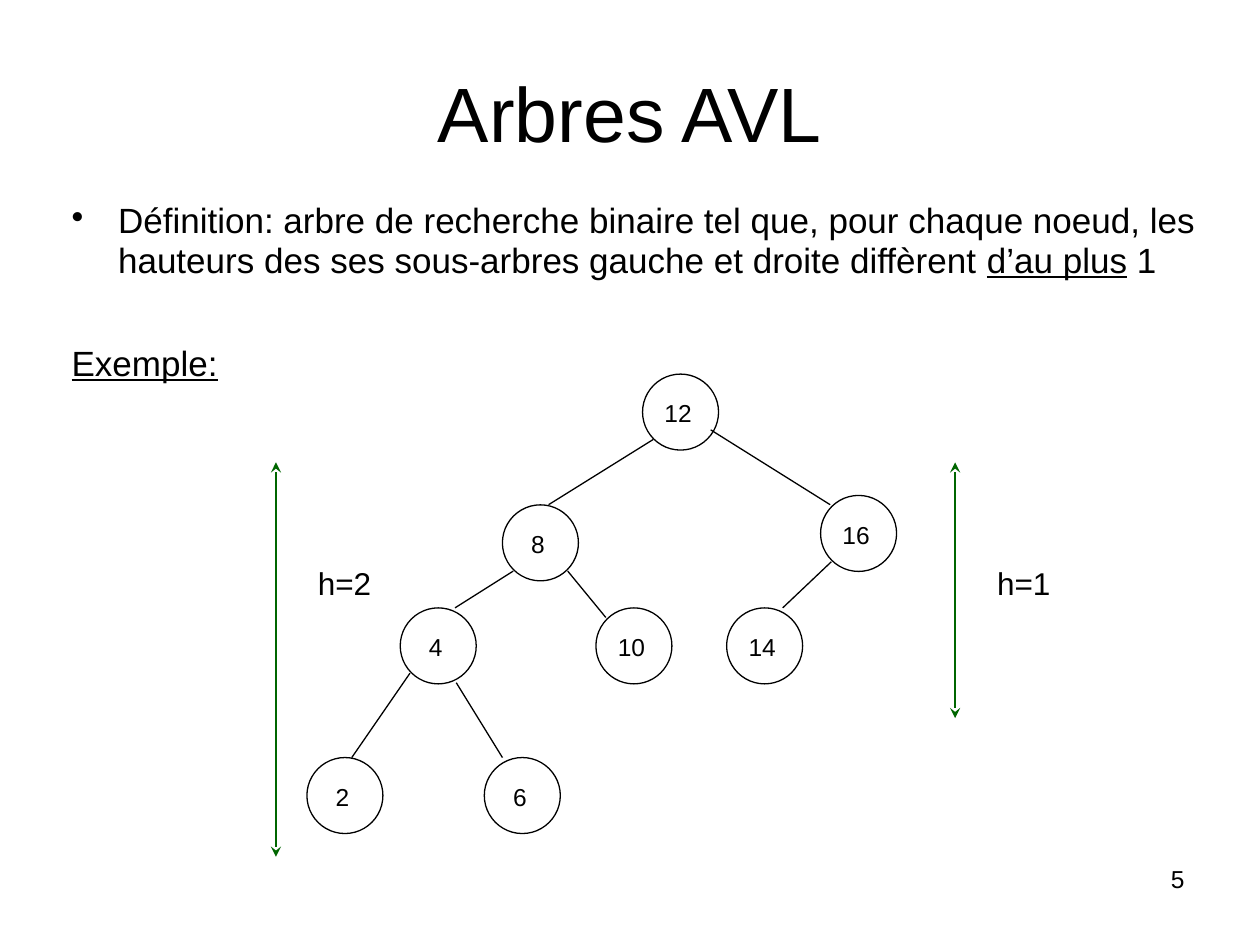
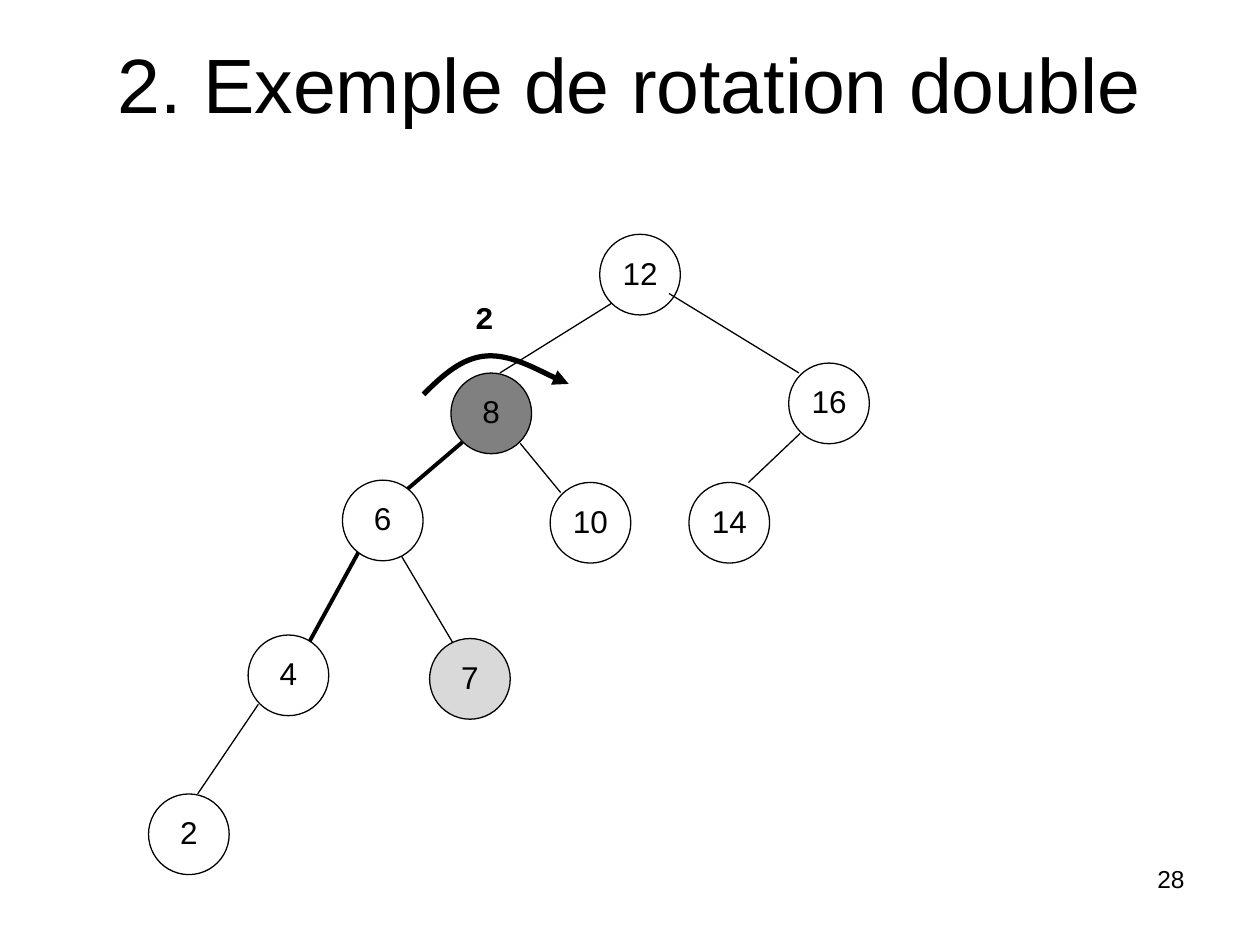
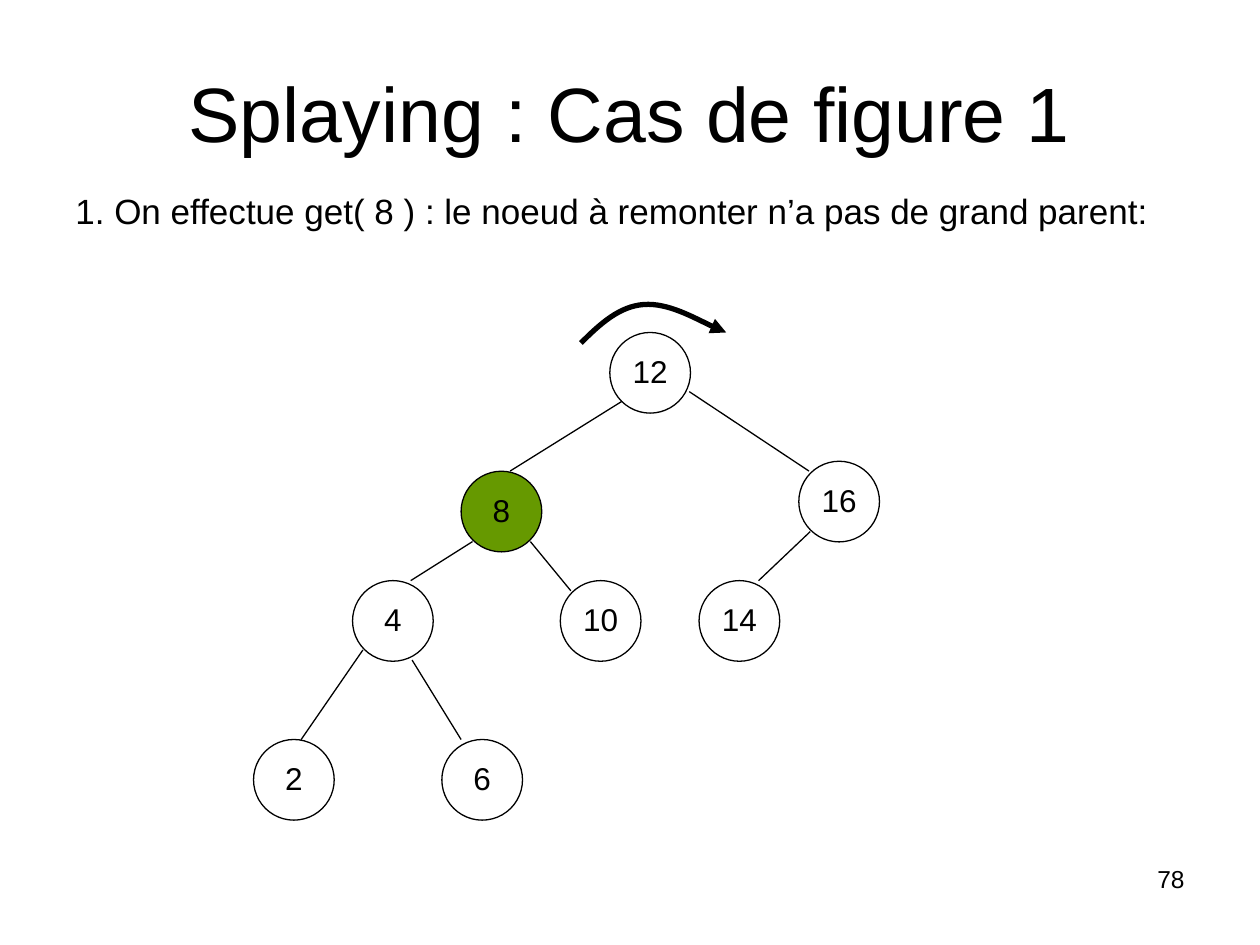
"""Build three slides on balanced binary search trees."""
from dataclasses import dataclass
from lxml.etree import SubElement as Sub
from pptx import Presentation
from pptx.dml.color import RGBColor as Rgb
from pptx.enum.shapes import MSO_CONNECTOR as Link, MSO_SHAPE as Form
from pptx.enum.text import MSO_ANCHOR as Anchor, PP_ALIGN as Align
from pptx.oxml.ns import qn
from pptx.util import Pt


@dataclass(frozen=True)
class Theme:
    ink: str = "000000"
    paper: str = "FFFFFF"
    dark: str = "808080"
    pale: str = "D9D9D9"
    leaf: str = "669900"
    height: str = "006600"
    face: str = "Arial"
    mono: str = "Courier New"
    title: int = 44
    body: int = 20
    label: int = 18
    small: int = 14
    thin: float = 0.75
    bold: float = 2.25
    turn: float = 3


look = Theme()


def write(frame, paras, size, align, pads=(7.2, 3.6, 7.2, 3.6), wrap=True, **extra):
    sides = ("margin_left", "margin_top", "margin_right", "margin_bottom")
    for side, pad in zip(sides, pads):
        setattr(frame, side, Pt(pad))
    frame.word_wrap = wrap
    fmt = {"name": look.face, "size": Pt(size), **extra}
    for i, runs in enumerate(paras):
        para = frame.add_paragraph() if i else frame.paragraphs[0]
        para.alignment, para.line_spacing = align, 0.93
        for words, under in runs:
            run = para.add_run()
            run.text = words
            for key, val in {**fmt, "underline": under}.items():
                setattr(run.font, key, val)
            run.font.color.rgb = Rgb.from_string(look.ink)
    return frame


def draw(slide, ends, width=look.thin, color=look.ink, tips=()):
    line = slide.shapes.add_connector(Link.STRAIGHT, *map(Pt, ends))
    line.line.width = Pt(width)
    line.line.color.rgb = Rgb.from_string(color)
    for tip in tips:
        Sub(line.line._get_or_add_ln(), qn(tip), type="stealth")
    Sub(line._element.spPr, qn("a:effectLst"))


core = {"12": (0, 0), "8": (-85, 79.3), "16": (108, 73.6),
        "10": (-28.3, 141.8), "14": (51, 141.8)}
limbs = [(6.5, 39.6, -57, 79.2), (114.5, 113.8, 85, 141.8),
         (-45.4, 119.5, -22.3, 147.6)]
even = {"4": (-147, 141.8), "2": (-203.6, 232.6), "6": (-96, 232.6)}
twigs = [(-78.5, 119.5, -113.8, 141.8), (-113, 187.2, -85, 232.6),
         (-141.1, 181.4, -176.4, 232.6)]
deep = {"6": (-147, 140.5), "4": (-200.9, 229), "2": (-257.8, 319.8),
        "7": (-97.2, 231)}
path_down = [(-78.5, 118.8, -118.1, 152.6), (-134.6, 175.7, -168.5, 237.6)]
rest = [(-118.1, 175.7, -78.5, 242.6), (-195.1, 268.6, -229.7, 319.7)]
bend = [(11, -11), (22, -21), (36, -22), (50, -23), (75, -9), (83, -6)]
disc = 46.1

pages = [
    {"title": "Arbres AVL", "box": (36, 21.6, 648, 90), "num": "5",
     "root": (367.2, 213.8), "scale": 0.942, "size": look.small, "nudge": 2.8,
     "right": 41.3, "nodes": even, "thin": twigs},
    {"title": "2. Exemple de rotation double", "box": (0, 21.6, 720, 57),
     "num": "28", "root": (342.7, 133.9), "right": 39.6, "nodes": deep,
     "thin": rest, "bold": path_down, "turn": (242, 225.4),
     "fills": {"8": look.dark, "7": look.pale, "6": look.paper, "4": look.paper}},
    {"title": "Splaying : Cas de figure 1", "box": (36, 38.2, 648, 57),
     "num": "78", "root": (348.5, 190), "right": 45.4, "nodes": even,
     "thin": twigs, "turn": (332, 196), "fills": {"8": look.leaf}},
]

deck = Presentation()
deck.slide_width, deck.slide_height = Pt(720), Pt(540)
slides = []

for page in pages:
    slide = deck.slides.add_slide(deck.slide_layouts[6])
    slides.append(slide)
    shapes = slide.shapes
    head = shapes.add_textbox(*map(Pt, page["box"])).text_frame
    write(head, [[(page["title"], False)]], look.title, Align.CENTER)
    head.vertical_anchor = Anchor.MIDDLE
    foot = shapes.add_textbox(Pt(516.2), Pt(491.8), Pt(167.8), Pt(37.4)).text_frame
    write(foot, [[(page["num"], False)]], look.small, Align.RIGHT)

    left, top = page["root"]
    scale = page.get("scale", 1)
    right = (page["right"], 33.8, 113.8, 79.2)
    edges = [(ends, look.bold) for ends in page.get("bold", [])]
    edges += [(ends, look.thin) for ends in [*limbs, right, *page["thin"]]]
    for (x1, y1, x2, y2), width in edges:
        draw(slide, (left + x1 * scale, top + y1 * scale,
                     left + x2 * scale, top + y2 * scale), width)

    nudge = page.get("nudge", 0)
    for key, (x, y) in {**core, **page["nodes"]}.items():
        node = shapes.add_shape(Form.OVAL, Pt(left + x * scale), Pt(top + y * scale),
                                Pt(disc * scale), Pt(disc * scale))
        node.shadow.inherit = False
        node.line.width = Pt(look.thin)
        node.line.color.rgb = Rgb.from_string(look.ink)
        fill = page.get("fills", {}).get(key)
        if fill:
            node.fill.solid()
            node.fill.fore_color.rgb = Rgb.from_string(fill)
        else:
            node.fill.background()
        write(node.text_frame, [[(key, False)]], page.get("size", look.label),
              Align.CENTER, (0, nudge, nudge, 0), False)
        node.text_frame.vertical_anchor = Anchor.MIDDLE

    if "turn" in page:
        x, y = page["turn"]
        pen = shapes.build_freeform(Pt(x), Pt(y))
        pen.add_line_segments([(Pt(x + dx), Pt(y + dy)) for dx, dy in bend], close=False)
        turn = pen.convert_to_shape()
        trace = next(turn._element.iter(qn("a:path")))
        steps = trace.findall(qn("a:lnTo"))
        for i in range(0, len(steps), 3):
            curve = Sub(trace, qn("a:cubicBezTo"))
            for step in steps[i:i + 3]:
                curve.append(step[0])
                trace.remove(step)
        turn.shadow.inherit = False
        turn.fill.background()
        turn.line.width = Pt(look.turn)
        turn.line.color.rgb = Rgb.from_string(look.ink)
        Sub(turn.line._get_or_add_ln(), qn("a:tailEnd"), type="triangle")

first, second, third = slides
text = [[("Définition: arbre de recherche binaire tel que, pour chaque noeud, les "
          "hauteurs des ses sous-arbres gauche et droite diffèrent ", False),
         ("d’au plus", True), (" 1", False)],
        [("Exemple:", True)]]
case = [[("1. On effectue get( 8 ) : le noeud à remonter n’a pas de grand parent:", False)]]
for slide, paras, box in [(first, text, (33.8, 112.3, 661.7, 110)),
                          (third, case, (36, 106.6, 648, 30.2))]:
    frame = slide.shapes.add_textbox(*map(Pt, box)).text_frame
    write(frame, paras, look.body, Align.LEFT)
    for para in frame.paragraphs:
        props = para._p.get_or_add_pPr()
        props.set("marL", str(Pt(26.6)))
        props.set("indent", str(-Pt(26.6)))
    if slide is first:
        Sub(frame.paragraphs[0]._p.pPr, qn("a:buChar"), char="•")
        frame.paragraphs[1].space_before = Pt(36.5)

for words, x, end in [("h=1", 545.8, 410.4), ("h=2", 157.7, 489.6)]:
    draw(first, (x, 264.2, x, end), color=look.height, tips=("a:headEnd", "a:tailEnd"))
    mark = first.shapes.add_textbox(Pt(x + 16.5), Pt(320.4), Pt(45.4), Pt(27.4))
    write(mark.text_frame, [[(words, False)]], look.label, Align.CENTER, wrap=False)

count = second.shapes.add_textbox(Pt(264.2), Pt(168.5), Pt(25.2), Pt(28))
write(count.text_frame, [[("2", False)]], look.label, Align.CENTER, wrap=False,
      name=look.mono, bold=True)

deck.save("out.pptx")
